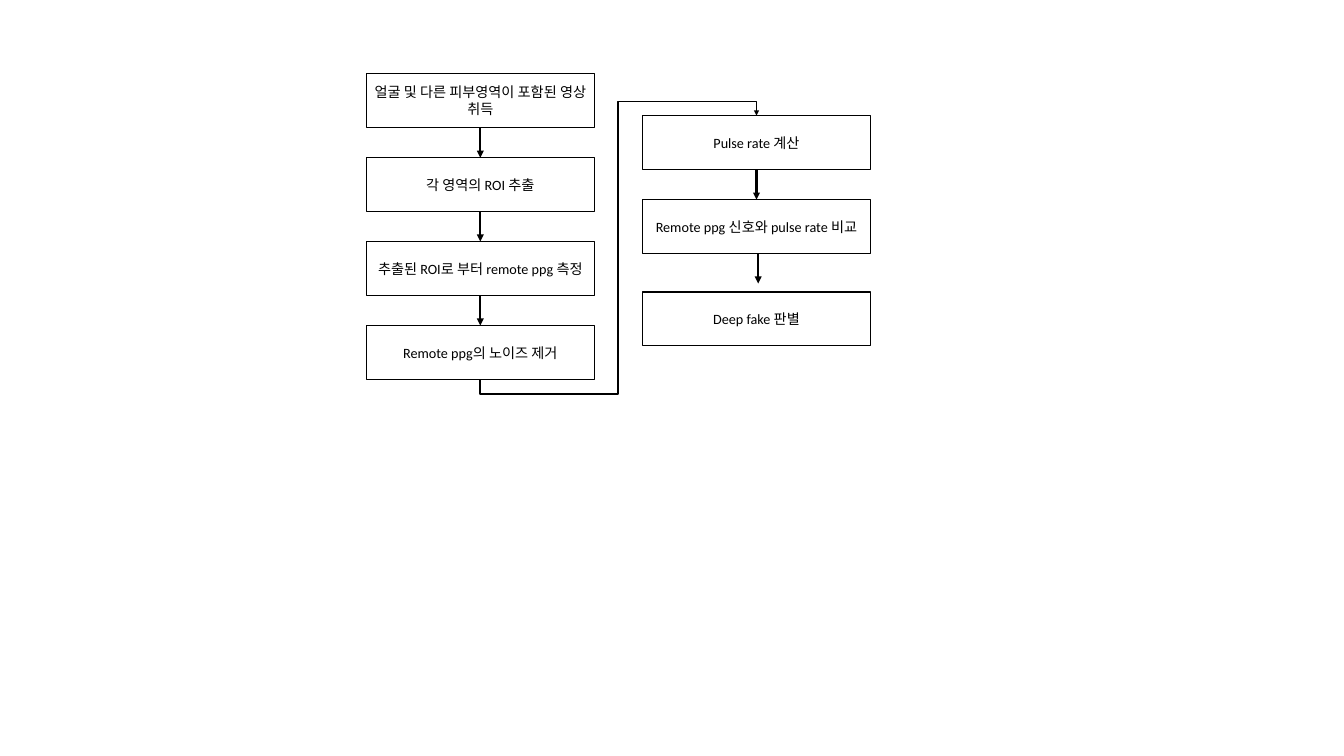
from dataclasses import dataclass

from lxml import etree
from pptx import Presentation
from pptx import util as u
from pptx.dml.color import RGBColor
from pptx.enum import shapes, text
from pptx.oxml.ns import qn
from pptx.shapes.autoshape import Shape
from pptx.shapes.connector import Connector
from pptx.slide import Slide

BLACK = RGBColor(0x00, 0x00, 0x00)
SLIDE_WIDTH, SLIDE_HEIGHT = 23.7, 13.33
GRID_LEFT, GRID_TOP = 6.46, 1.3
COLUMN_STEP, ROW_STEP = 4.87, 1.48
BOX_WIDTH, BOX_HEIGHT = 4.02, 0.95
ARROW_LENGTH = ROW_STEP - BOX_HEIGHT
DETOUR = 0.25


@dataclass(frozen=True)
class Step:
    label: str
    column: int
    row: float

    @property
    def left(self) -> float:
        return GRID_LEFT + COLUMN_STEP * self.column

    @property
    def top(self) -> float:
        return GRID_TOP + ROW_STEP * self.row

    @property
    def center(self) -> float:
        return self.left + BOX_WIDTH / 2

    @property
    def bottom(self) -> float:
        return self.top + BOX_HEIGHT


@dataclass(frozen=True)
class Arrow:
    start: Step
    shift: float = 0


ACQUIRE = Step("얼굴 및 다른 피부영역이 포함된 영상 취득", 0, 0)
EXTRACT = Step("각 영역의 ROI 추출", 0, 1)
MEASURE = Step("추출된 ROI로 부터 remote ppg 측정", 0, 2)
DENOISE = Step("Remote ppg의 노이즈 제거", 0, 3)
PULSE = Step("Pulse rate 계산", 1, 0.5)
COMPARE = Step("Remote ppg 신호와 pulse rate 비교", 1, 1.5)
DETECT = Step("Deep fake 판별", 1, 2.6)

STEPS = (ACQUIRE, EXTRACT, MEASURE, DENOISE, PULSE, COMPARE, DETECT)
ARROWS = (Arrow(ACQUIRE), Arrow(EXTRACT), Arrow(MEASURE), Arrow(PULSE), Arrow(COMPARE, 0.03))


def draw_step(page: Slide, step: Step) -> Shape:
    box = page.shapes.add_shape(
        shapes.MSO_SHAPE.RECTANGLE,
        u.Inches(step.left), u.Inches(step.top), u.Inches(BOX_WIDTH), u.Inches(BOX_HEIGHT),
    )
    box.shadow.inherit = False
    box.fill.background()
    box.line.color.rgb = BLACK
    box.line.width = u.Pt(1.5)
    frame = box.text_frame
    frame.word_wrap = True
    frame.vertical_anchor = text.MSO_ANCHOR.MIDDLE
    frame.text = step.label
    para = frame.paragraphs[0]
    para.alignment = text.PP_ALIGN.CENTER
    for span in para.runs:
        span.font.name = "Calibri"
        span.font.size = u.Pt(18)
        span.font.color.rgb = BLACK
    return box


def style_arrow(connector: Connector, width: float) -> None:
    connector.line.color.rgb = BLACK
    connector.line.width = u.Pt(width)
    properties = connector._element.spPr
    etree.SubElement(properties.find(qn("a:ln")), qn("a:tailEnd"), type="triangle")
    etree.SubElement(properties, qn("a:effectLst"))


def draw_arrow(page: Slide, arrow: Arrow) -> None:
    x = u.Inches(arrow.start.center + arrow.shift)
    y = arrow.start.bottom
    connector = page.shapes.add_connector(
        shapes.MSO_CONNECTOR.STRAIGHT, x, u.Inches(y), x, u.Inches(y + ARROW_LENGTH)
    )
    style_arrow(connector, 3)


def draw_column_link(page: Slide, start: Step, end: Step) -> None:
    rise = start.bottom - end.top
    run = end.center - start.center
    middle_x = (start.center + end.center) / 2
    middle_y = (start.bottom + end.top) / 2
    connector = page.shapes.add_connector(
        shapes.MSO_CONNECTOR.ELBOW,
        u.Inches(middle_x + rise / 2), u.Inches(middle_y + run / 2),
        u.Inches(middle_x - rise / 2), u.Inches(middle_y - run / 2),
    )
    properties = connector._element.spPr
    properties.find(qn("a:xfrm")).set("rot", str(90 * 60000))
    geometry = properties.find(qn("a:prstGeom"))
    geometry.set("prst", "bentConnector5")
    adjustments = geometry.find(qn("a:avLst"))
    overshoot = DETOUR / rise
    for number, share in enumerate((-overshoot, 0.5, 1 + overshoot), start=1):
        etree.SubElement(
            adjustments, qn("a:gd"), name=f"adj{number}", fmla=f"val {round(share * 100000)}"
        )
    style_arrow(connector, 2.25)


def main() -> None:
    deck = Presentation()
    deck.slide_width = u.Inches(SLIDE_WIDTH)
    deck.slide_height = u.Inches(SLIDE_HEIGHT)
    page = deck.slides.add_slide(deck.slide_layouts[6])
    for step in STEPS:
        draw_step(page, step)
    for arrow in ARROWS:
        draw_arrow(page, arrow)
    draw_column_link(page, DENOISE, PULSE)
    deck.save("out.pptx")


if __name__ == "__main__":
    main()
